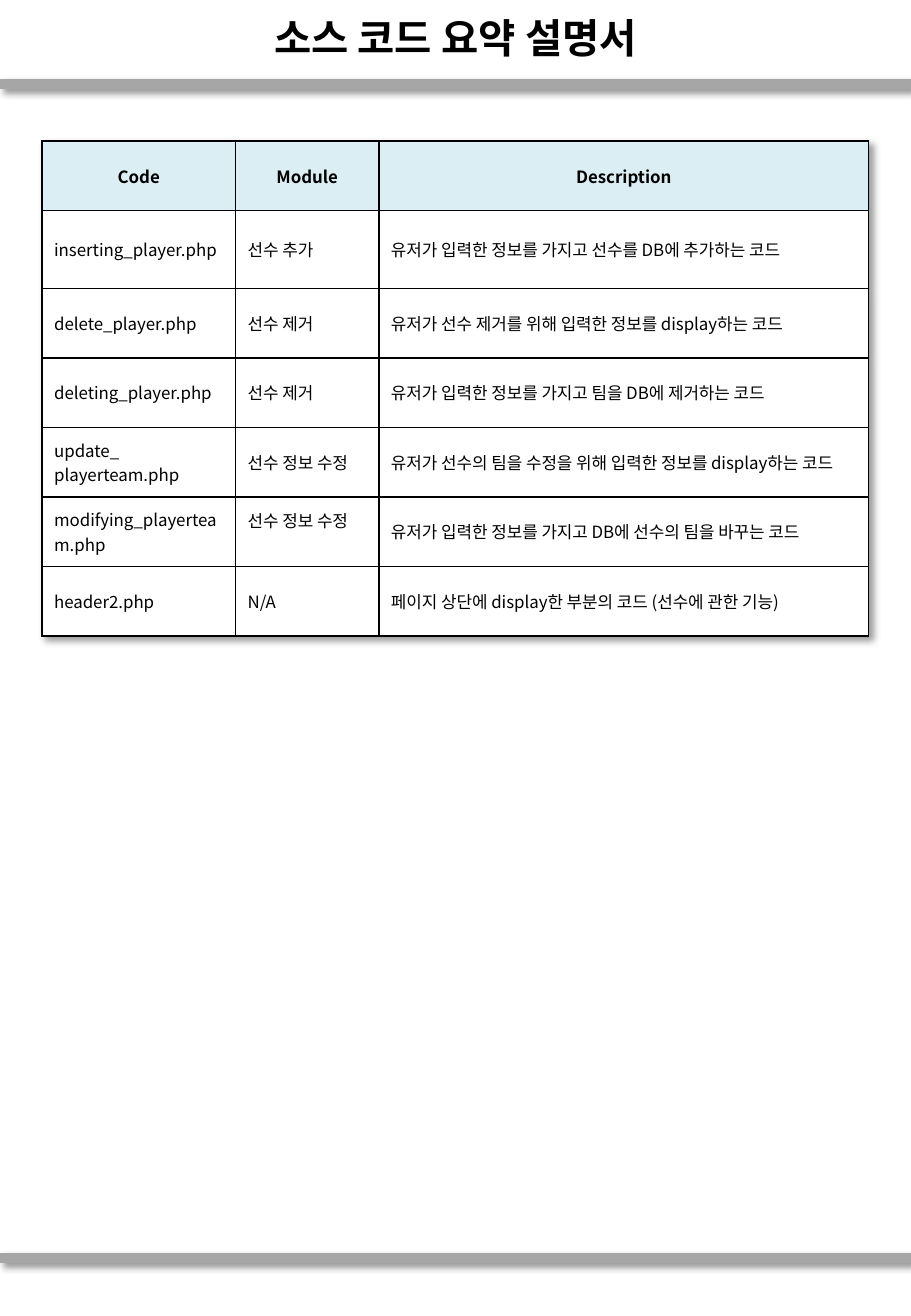
"""Builds a one-page summary sheet of source code files."""
from pptx import Presentation
from pptx.dml.color import RGBColor
from pptx.enum.shapes import MSO_CONNECTOR as Connector
from pptx.enum.text import MSO_ANCHOR as Anchor, PP_ALIGN as Align
from pptx.oxml import parse_xml
from pptx.oxml.ns import nsdecls
from pptx.util import Pt

FONT = "Noto Sans CJK KR"
PAGE_WIDTH, PAGE_HEIGHT = 540, 780
SHADOW = (f'<a:effectLst {nsdecls("a")}><a:outerShdw blurRad="{Pt(4)}" dist="{Pt(3)}" '
          'dir="2700000" algn="tl" rotWithShape="0"><a:srgbClr val="000000">'
          '<a:alpha val="40000"/></a:srgbClr></a:outerShdw></a:effectLst>')


def color(value):
    return RGBColor.from_string(value)


def style_text(para, size, bold, align, latin):
    para.alignment = align
    for span in para.runs:
        span.font.size = Pt(size)
        span.font.bold = bold
        span.font.name = latin
        span.font.color.rgb = color("000000")
        span.font._element.append(parse_xml(f'<a:ea {nsdecls("a")} typeface="{FONT}"/>'))


deck = Presentation()
deck.slide_width, deck.slide_height = Pt(PAGE_WIDTH), Pt(PAGE_HEIGHT)
page = deck.slides.add_slide(deck.slide_layouts[6])

for rule_y in (49.8, 745.7):
    rule = page.shapes.add_connector(Connector.STRAIGHT, 0, Pt(rule_y), Pt(PAGE_WIDTH), Pt(rule_y))
    rule.line.color.rgb = color("A6A6A6")
    rule.line.width = Pt(6)
    rule._element.spPr.append(parse_xml(SHADOW))

title = page.shapes.add_textbox(0, Pt(0.7), Pt(PAGE_WIDTH), Pt(43.2))
title.text_frame.word_wrap = True
title.text_frame.vertical_anchor = Anchor.MIDDLE
title.text_frame.text = "소스 코드 요약 설명서"
style_text(title.text_frame.paragraphs[0], 24, True, Align.CENTER, "Arial")

rows = [
    ("Code", "Module", "Description"),
    ("inserting_player.php", "선수 추가", "유저가 입력한 정보를 가지고 선수를 DB에 추가하는 코드"),
    ("delete_player.php", "선수 제거", "유저가 선수 제거를 위해 입력한 정보를 display하는 코드"),
    ("deleting_player.php", "선수 제거", "유저가 입력한 정보를 가지고 팀을 DB에 제거하는 코드"),
    ("update_\vplayerteam.php", "선수 정보 수정",
     "유저가 선수의 팀을 수정을 위해 입력한 정보를 display하는 코드"),
    ("modifying_playerteam.php", "선수 정보 수정",
     "유저가 입력한 정보를 가지고 DB에 선수의 팀을 바꾸는 코드"),
    ("header2.php", "N/A", "페이지 상단에 display한 부분의 코드 (선수에 관한 기능)"),
]
column_widths = (114.7, 85, 290.4)
row_heights = [41.2, 46.2] + [41.2] * 5

frame = page.shapes.add_table(len(rows), len(column_widths), Pt(24.9), Pt(83.6),
                              Pt(sum(column_widths)), Pt(sum(row_heights)))
table = frame.table
table.horz_banding = False
table._tbl.tblPr.insert(0, parse_xml(SHADOW))
for column, width in zip(table.columns, column_widths):
    column.width = Pt(width)

for row_index, (texts, height) in enumerate(zip(rows, row_heights)):
    table.rows[row_index].height = Pt(height)
    is_header = row_index == 0
    for column_index, text in enumerate(texts):
        cell = table.cell(row_index, column_index)
        cell.vertical_anchor = Anchor.MIDDLE
        cell.margin_left = cell.margin_right = Pt(7.2)
        cell.margin_top = cell.margin_bottom = Pt(3.6)
        cell.fill.solid()
        cell.fill.fore_color.rgb = color("DBEEF4" if is_header else "FFFFFF")
        para = cell.text_frame.paragraphs[0]
        para.text = text
        style_text(para, 10, is_header, Align.CENTER if is_header else Align.LEFT, FONT)
        for position, side in enumerate("LRTB"):
            cell._tc.get_or_add_tcPr().insert(position, parse_xml(
                f'<a:ln{side} {nsdecls("a")} w="{Pt(1)}"><a:solidFill>'
                f'<a:srgbClr val="000000"/></a:solidFill></a:ln{side}>'))

table.cell(5, 1).margin_bottom = Pt(17.6)

deck.save("out.pptx")
